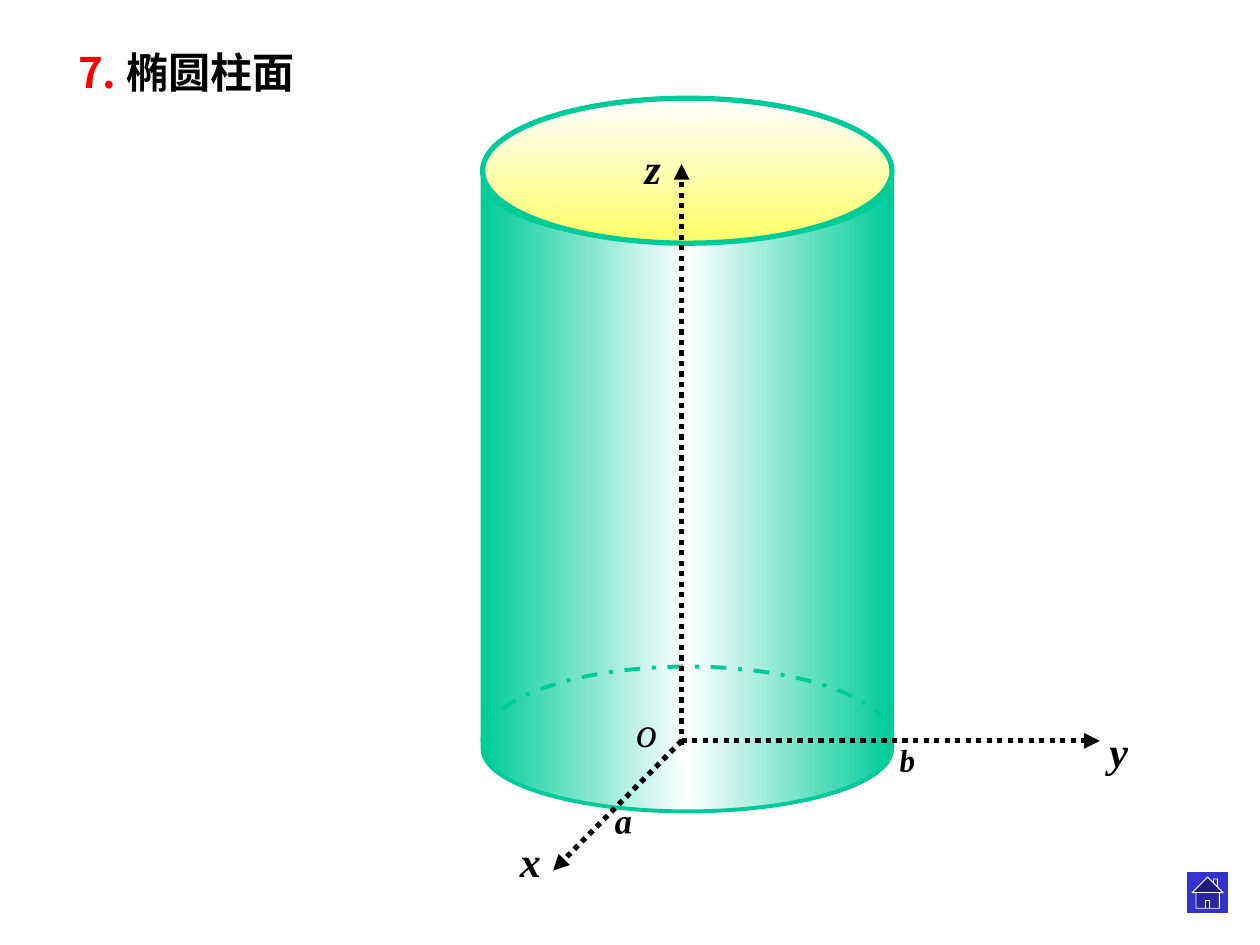
from copy import deepcopy
from math import cos, pi, sin

from pptx import Presentation
from pptx.dml.color import RGBColor
from pptx.enum.dml import MSO_LINE
from pptx.enum.shapes import MSO_CONNECTOR, MSO_SHAPE
from pptx.enum.text import MSO_ANCHOR, MSO_AUTO_SIZE, PP_ALIGN
from pptx.oxml.ns import qn
from pptx.util import Inches, Pt
from lxml import etree

GREEN = RGBColor(0x00, 0xCC, 0x99)
YELLOW = RGBColor(0xFF, 0xFF, 0x66)
WHITE = RGBColor(0xFF, 0xFF, 0xFF)
BLACK = RGBColor(0x00, 0x00, 0x00)
RED = RGBColor(0xFF, 0x00, 0x00)
BLUE = RGBColor(0x33, 0x33, 0xCC)
STRAIGHT = MSO_CONNECTOR.STRAIGHT
DOTTED = MSO_LINE.ROUND_DOT
DASH_DOT = MSO_LINE.DASH_DOT
MIDDLE, TOP = MSO_ANCHOR.MIDDLE, MSO_ANCHOR.TOP
CENTER, LEFT = PP_ALIGN.CENTER, PP_ALIGN.LEFT
GROW = MSO_AUTO_SIZE.SHAPE_TO_FIT_TEXT
NO_AUTOSIZE = MSO_AUTO_SIZE.NONE
SERIF, SANS = "Times New Roman", "Noto Sans CJK SC"


def outline(shape, color, width):
    shape.shadow.inherit = False
    shape.line.color.rgb = color
    shape.line.width = Pt(width)


def fill_gradient(shape, colors, angle):
    """Spread the colours evenly; the angle runs counter-clockwise."""
    fill = shape.fill
    fill.gradient()
    fill.gradient_angle = angle
    stop_list = fill._fill._gradFill.find(qn("a:gsLst"))
    while len(stop_list) < len(colors):
        stop_list.append(deepcopy(stop_list[0]))
    for index, (stop, color) in enumerate(zip(fill.gradient_stops, colors)):
        stop.position = index / (len(colors) - 1)
        stop.color.rgb = color


deck = Presentation()
deck.slide_width, deck.slide_height = Inches(10), Inches(7.5)
slide = deck.slides.add_slide(deck.slide_layouts[5])
shapes = slide.shapes

# Title
title = shapes.title
title.left, title.top = Inches(0.52), Inches(0.36)
title.width, title.height = Inches(2.42), Inches(0.42)
frame = title.text_frame
frame.vertical_anchor = MIDDLE
frame.auto_size = NO_AUTOSIZE
para = frame.paragraphs[0]
para.alignment = LEFT
for text, font_name, color in [("7. ", SANS, RED), ("椭圆柱面", SERIF, BLACK)]:
    span = para.add_run()
    span.text = text
    for name, value in {"name": font_name, "size": Pt(24), "bold": True}.items():
        setattr(span.font, name, value)
    span.font.color.rgb = color
    east_asian = etree.SubElement(span.font._element, qn("a:ea"))
    east_asian.set("typeface", SANS)

# Cylinder body and top face
body = shapes.add_shape(MSO_SHAPE.CAN, Inches(3.83), Inches(0.93), Inches(3.25), Inches(5.51))
body.adjustments[0] = 0.305
outline(body, GREEN, 2.25)
fill_gradient(body, [GREEN, WHITE, GREEN], 0)

top_face = shapes.add_shape(MSO_SHAPE.OVAL, Inches(3.83), Inches(0.78), Inches(3.25), Inches(1.15))
outline(top_face, GREEN, 3)
fill_gradient(top_face, [WHITE, YELLOW], 270)

# Hidden back edge of the base: upper half of an ellipse
STEPS = 60
arc_points = [
    (Inches(5.46 - 1.63 * cos(pi * step / STEPS)), Inches(5.88 - 0.59 * sin(pi * step / STEPS)))
    for step in range(STEPS + 1)
]
builder = shapes.build_freeform(Inches(3.84), Inches(5.91))
builder.add_line_segments(arc_points, close=False)
back_edge = builder.convert_to_shape()
back_edge.fill.background()
outline(back_edge, GREEN, 2.25)
back_edge.line.dash_style = DASH_DOT

# Axes: z, y, x
for start_y, end_x, end_y in [(5.91, 5.41, 1.3), (5.88, 8.73, 5.88), (5.88, 4.39, 6.91)]:
    axis = shapes.add_connector(STRAIGHT, Inches(5.41), Inches(start_y), Inches(end_x), Inches(end_y))
    axis.line.color.rgb = BLACK
    axis.line.width = Pt(3)
    axis.line.dash_style = DOTTED
    etree.SubElement(axis.line._get_or_add_ln(), qn("a:tailEnd")).set("type", "triangle")
    etree.SubElement(axis._element.spPr, qn("a:effectLst"))

# Labels: text, left, top, width, height, size, rotation, bold, alignment, anchor
labels = [
    ("a", 4.54, 6.29, 0.81, 0.43, 20, 357, True, CENTER, MIDDLE),
    ("b", 6.82, 5.83, 0.76, 0.4, 18, 357, True, CENTER, MIDDLE),
    ("z", 4.74, 1.08, 0.88, 0.5, 24, 0, True, CENTER, MIDDLE),
    ("x", 3.94, 6.58, 0.54, 0.5, 24, 0, True, CENTER, MIDDLE),
    ("y", 8.61, 5.71, 0.54, 0.5, 24, 0, True, CENTER, MIDDLE),
    ("o", 4.95, 5.55, 0.4, 0.5, 24, 0, False, LEFT, TOP),
]
for text, left, top, width, height, size, rotation, bold, alignment, anchor in labels:
    box = shapes.add_textbox(Inches(left), Inches(top), Inches(width), Inches(height))
    box.rotation = rotation
    frame = box.text_frame
    for name, value in {"word_wrap": True, "auto_size": GROW, "vertical_anchor": anchor}.items():
        setattr(frame, name, value)
    para = frame.paragraphs[0]
    para.alignment = alignment
    span = para.add_run()
    span.text = text
    for name, value in {"name": SERIF, "size": Pt(size), "bold": bold, "italic": True}.items():
        setattr(span.font, name, value)
    span.font.color.rgb = BLACK

# Home button
home = shapes.add_shape(
    MSO_SHAPE.ACTION_BUTTON_HOME, Inches(9.42), Inches(6.92), Inches(0.33), Inches(0.33)
)
home.fill.solid()
home.fill.fore_color.rgb = BLUE
outline(home, WHITE, 0.5)

deck.save("out.pptx")
